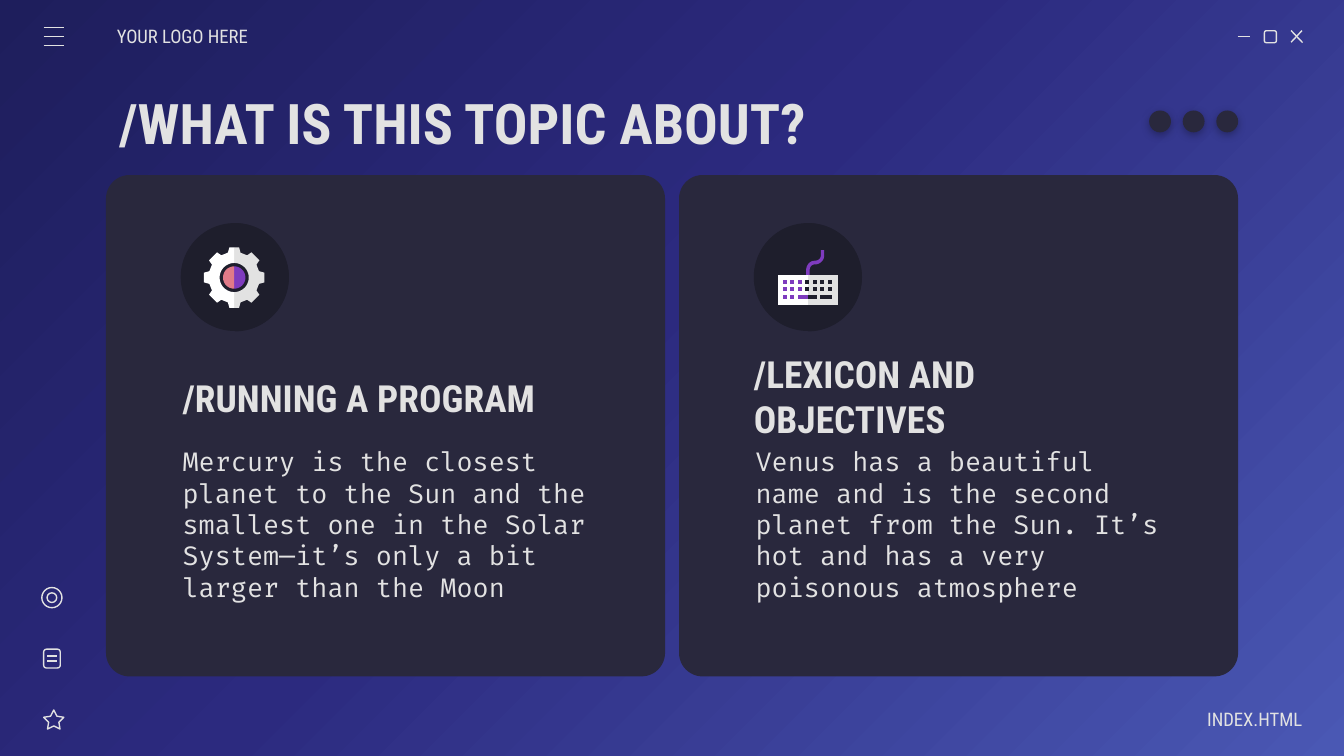
import copy
import math

import lxml.etree
import pptx
import pptx.dml.color
import pptx.enum.shapes
import pptx.enum.text
import pptx.oxml.ns
import pptx.util

Pt = pptx.util.Pt
RGBColor = pptx.dml.color.RGBColor
SHAPE = pptx.enum.shapes.MSO_SHAPE
ALIGN = pptx.enum.text.PP_ALIGN
qn = pptx.oxml.ns.qn

NIGHT = RGBColor(0x1E, 0x1E, 0x5C)
INDIGO = RGBColor(0x2C, 0x2A, 0x7F)
PERIWINKLE = RGBColor(0x4A, 0x58, 0xB4)
PANEL = RGBColor(0x29, 0x28, 0x3D)
INK = RGBColor(0x1E, 0x1E, 0x2C)
PALE = RGBColor(0xE2, 0xE2, 0xE2)
WHITE = RGBColor(0xFF, 0xFF, 0xFF)
PURPLE = RGBColor(0x7E, 0x3B, 0xBE)
PINK = RGBColor(0xE0, 0x7A, 0x88)


class Page:
    heading_font = "Roboto Condensed"
    body_font = "Fira Code"
    hairline = 0.75
    inset = 7.2

    def __init__(self, slide):
        self.slide = slide

    def background(self, start, middle, end, middle_at):
        fill = self.slide.background.fill
        fill.gradient()
        fill.gradient_angle = 315
        first, last = fill.gradient_stops
        first.color.rgb, first.position = middle, middle_at
        last.color.rgb, last.position = end, 1
        stops = next(self.slide.element.iter(qn("a:gsLst")))
        stops.insert(0, copy.deepcopy(stops[0]))
        opening = fill.gradient_stops[0]
        opening.color.rgb, opening.position = start, 0

    def paint(self, shape, fill=None):
        shape.shadow.inherit = False
        if fill is None:
            shape.fill.background()
            shape.line.color.rgb = PALE
            shape.line.width = Pt(self.hairline)
        else:
            shape.fill.solid()
            shape.fill.fore_color.rgb = fill
            shape.line.fill.background()
        return shape

    def preset(self, kind, left, top, width, height, fill=None, adjust=()):
        shape = self.slide.shapes.add_shape(
            kind, Pt(left), Pt(top), Pt(width), Pt(height))
        for index, value in enumerate(adjust):
            shape.adjustments[index] = value
        return self.paint(shape, fill)

    def outline(self, points, fill):
        start, *rest = [(Pt(x), Pt(y)) for x, y in points]
        builder = self.slide.shapes.build_freeform(*start)
        builder.add_line_segments(rest, close=True)
        return self.paint(builder.convert_to_shape(), fill)

    def block(self, left, top, right, bottom, fill):
        self.outline([(left, top), (left, bottom), (right, bottom), (right, top)], fill)

    def line(self, x1, y1, x2, y2):
        connector = self.slide.shapes.add_connector(
            pptx.enum.shapes.MSO_CONNECTOR.STRAIGHT, Pt(x1), Pt(y1), Pt(x2), Pt(y2))
        connector.line.color.rgb = PALE
        connector.line.width = Pt(self.hairline)
        lxml.etree.SubElement(connector.element.spPr, qn("a:effectLst"))

    def soft_dot(self, left, top, size):
        dot = self.preset(SHAPE.OVAL, left, top, size, size, PANEL)
        effects = dot.element.spPr.find(qn("a:effectLst"))
        shadow = lxml.etree.SubElement(
            effects, qn("a:outerShdw"), blurRad=str(Pt(4.5)), dist=str(Pt(1.5)),
            dir="5400000", algn="bl", rotWithShape="0")
        black = lxml.etree.SubElement(shadow, qn("a:srgbClr"), val="000000")
        lxml.etree.SubElement(black, qn("a:alpha"), val="30000")

    def text(self, words, left, top, width, height, size, bold=False, font=None,
             align=ALIGN.LEFT, left_inset=inset, right_inset=inset):
        box = self.slide.shapes.add_textbox(Pt(left), Pt(top), Pt(width), Pt(height))
        frame = box.text_frame
        frame.word_wrap = True
        frame.vertical_anchor = pptx.enum.text.MSO_ANCHOR.MIDDLE
        frame.margin_left, frame.margin_right = Pt(left_inset), Pt(right_inset)
        frame.margin_top = frame.margin_bottom = Pt(self.inset)
        frame.text = words
        paragraph = frame.paragraphs[0]
        paragraph.alignment = align
        style = paragraph.runs[0].font
        style.name = font or self.heading_font
        style.size = Pt(size)
        style.bold = bold
        style.color.rgb = PALE

    def icon_disc(self, left):
        self.preset(SHAPE.OVAL, left, 119.5, 57.8, 57.8, INK)
        wedge = self.preset(SHAPE.PIE, left, 119.5, 58, 58, INK, (54.39, 162))
        wedge.rotation = 180

    def gear(self, cx, cy):
        tooth = [(0, 16.2), (2.6, 16.2), (3.4, 13.3), (6.9, 11.9), (9.2, 13.5)]
        quarter = tooth + [(y, x) for x, y in reversed(tooth[1:])]
        rim = [(x, -y) for x, y in quarter] + list(reversed(quarter))

        def half_circle(radius):
            angles = [math.pi * step / 24 for step in range(25)]
            return [(radius * math.sin(a), radius * math.cos(a)) for a in angles]

        ring = rim + half_circle(7.8)
        for side, core, metal in ((1, PURPLE, PALE), (-1, PINK, WHITE)):
            for points, fill in ((half_circle(6), core), (ring, metal)):
                self.outline([(cx + side * x, cy + y) for x, y in points], fill)

    def keyboard(self, left, top):
        def curve(a, b, c, d):
            for step in range(13):
                t = step / 12
                u = 1 - t
                yield tuple(u**3 * p + 3 * u * u * t * q + 3 * u * t * t * r + t**3 * s
                            for p, q, r, s in zip(a, b, c, d))

        cable = [
            (23, -13.3),
            *curve((23, -10.5), (23, -8.7), (21.6, -7.6), (19.5, -7.6)),
            *curve((19.5, -7.6), (17.3, -7.6), (15.1, -5.4), (15.1, -2.5)),
            (15.1, 1.8), (17, 1.8),
            *curve((17, -2.5), (17, -4.3), (18.1, -5.6), (19.5, -5.6)),
            *curve((19.5, -5.6), (22.4, -5.6), (24.8, -7.6), (24.8, -10.5)),
            (24.8, -13.3)]
        self.outline([(left + x, top + y) for x, y in cable], PURPLE)
        middle, bottom = left + 16, top + 16.1
        self.block(middle, top, left + 32, bottom, PALE)
        self.block(left, top, middle, bottom, WHITE)
        first, pitch, key = left + 2.7, 4, 2.1
        for row in range(3):
            y = top + 2.7 + row * pitch
            for column in range(7 if row < 2 else 2):
                x = first + column * pitch
                self.block(x, y, x + key, y + key, PURPLE if column < 3 else INK)
        for start, end, fill in ((22.7, 28.8, INK), (15.4, 21, INK), (10.7, 16, PURPLE)):
            self.block(left + start, y, left + end, y + key, fill)


def main():
    deck = pptx.Presentation()
    deck.slide_width, deck.slide_height = Pt(720), Pt(405)
    page = Page(deck.slides.add_slide(deck.slide_layouts[6]))
    page.background(NIGHT, INDIGO, PERIWINKLE, 0.46)

    for panel_left in (56.8, 363.8):
        page.preset(SHAPE.ROUNDED_RECTANGLE, panel_left, 93.8, 299.5, 268.6, PANEL, (0.047,))
        page.icon_disc(panel_left + 40)
    page.gear(125.5, 148.7)
    page.keyboard(416.8, 147.3)

    page.line(663.1, 19.6, 669.6, 19.6)
    page.preset(SHAPE.ROUNDED_RECTANGLE, 677.4, 16.5, 6.4, 6.4)
    page.line(691.7, 16.4, 697.8, 22.8)
    page.line(697.5, 16.4, 691.7, 22.6)

    for menu_y in (14.8, 19.6, 24.4):
        page.line(23.4, menu_y, 34.2, menu_y)
    page.preset(SHAPE.STAR_5_POINT, 23.4, 380.4, 10.8, 10.2, adjust=(0.254,))
    page.preset(SHAPE.ROUNDED_RECTANGLE, 23.4, 347.8, 8.9, 10.1)
    for note_y in (351.5, 354.2):
        page.line(25.2, note_y, 30.4, note_y)
    page.preset(SHAPE.OVAL, 22.4, 314.8, 10.8, 10.8)
    page.preset(SHAPE.OVAL, 25.2, 317.6, 5.2, 5.2)

    page.text("YOUR LOGO HERE", 62.6, 8.6, 84.2, 21.6, 10, left_inset=0)
    page.text("/WHAT IS THIS TOPIC ABOUT?", 56.8, 42.5, 607, 45.4, 30, bold=True)
    page.text("/RUNNING A PROGRAM", 90.7, 194.4, 231.8, 36.7, 20, bold=True)
    page.text("/LEXICON AND OBJECTIVES", 403.9, 201.6, 231.8, 21.6, 20, bold=True,
              left_inset=0, right_inset=20)
    page.text("Mercury is the closest planet to the Sun and the smallest one in the "
              "Solar System—it’s only a bit larger than the Moon",
              90.7, 230.4, 231.8, 100.8, 14, font=page.body_font)
    page.text("Venus has a beautiful name and is the second planet from the Sun. "
              "It’s hot and has a very poisonous atmosphere",
              397.7, 230.4, 231.8, 100.8, 14, font=page.body_font)
    page.text("INDEX.HTML", 613.4, 374.4, 84.2, 21.6, 10, align=ALIGN.RIGHT, right_inset=0)

    for dot in range(3):
        page.soft_dot(651.6 - dot * 18, 59.2, 11.7)

    deck.save("out.pptx")


if __name__ == "__main__":
    main()
